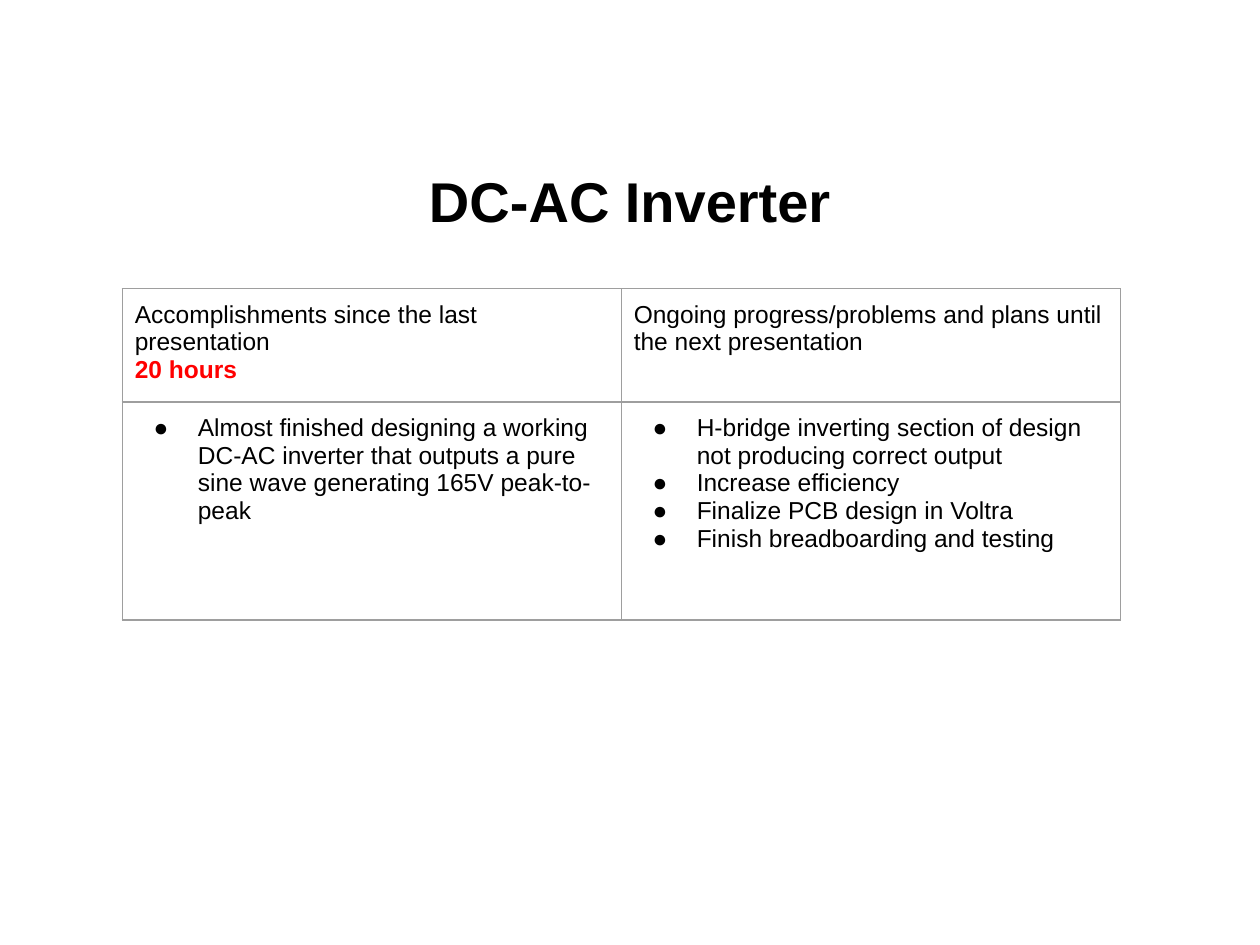
import dataclasses

import pptx
import pptx.dml.color
import pptx.enum.text
import pptx.oxml
import pptx.oxml.ns
import pptx.util
from pptx.util import Inches


@dataclasses.dataclass(frozen=True)
class Theme:
    font: str = "Arial"
    ink: str = "000000"
    accent: str = "FF0000"
    border: str = "9E9E9E"
    title_size: float = 32
    body_size: float = 14
    border_width: float = 0.75


def dml(xml):
    return pptx.oxml.parse_xml(xml.replace(">", f" {pptx.oxml.ns.nsdecls('a')}>", 1))


def write(paragraph, text, *, font, size, color, bold=False, align=None):
    run = paragraph.add_run()
    run.text = text
    run.font.name = font
    run.font.size = pptx.util.Pt(size)
    run.font.bold = bold
    run.font.color.rgb = pptx.dml.color.RGBColor.from_string(color)
    paragraph.alignment = align


class ReportSlide:
    def __init__(self, slide, theme):
        self.slide = slide
        self.theme = theme

    def title(self, text, left, top, width, height):
        frame = self.slide.shapes.add_textbox(left, top, width, height).text_frame
        frame.word_wrap = True
        frame.vertical_anchor = pptx.enum.text.MSO_ANCHOR.MIDDLE
        write(frame.paragraphs[0], text, font=self.theme.font, size=self.theme.title_size,
              color=self.theme.ink, bold=True, align=pptx.enum.text.PP_ALIGN.CENTER)

    def table(self, rows, left, top, column_width, row_heights):
        """Each cell is a list of (text, format) lines."""
        columns = len(rows[0])
        table = self.slide.shapes.add_table(
            len(rows), columns, left, top, column_width * columns, sum(row_heights)).table
        table.first_row = table.horz_banding = False
        for column in table.columns:
            column.width = column_width
        for row, height, contents in zip(table.rows, row_heights, rows):
            row.height = height
            for cell, lines in zip(row.cells, contents):
                self.cell(cell, lines)

    def cell(self, cell, lines):
        cell.margin_left = cell.margin_right = Inches(0.1)
        cell.margin_top = cell.margin_bottom = Inches(0.1)
        self.borders(cell)
        cell.fill.background()
        frame = cell.text_frame
        for index, (text, style) in enumerate(lines):
            paragraph = frame.add_paragraph() if index else frame.paragraphs[0]
            style = dict(style)
            if style.pop("bullet", False):
                self.bullet(paragraph)
            write(paragraph, text, **{"font": self.theme.font, "size": self.theme.body_size,
                                      "color": self.theme.ink, **style})

    def borders(self, cell):
        properties = cell._tc.get_or_add_tcPr()
        width = pptx.util.Pt(self.theme.border_width)
        for side in ("lnL", "lnR", "lnT", "lnB"):
            properties.append(dml(
                f'<a:{side} w="{width}"><a:solidFill><a:srgbClr val="{self.theme.border}"/>'
                f'</a:solidFill><a:prstDash val="solid"/></a:{side}>'))

    def bullet(self, paragraph):
        properties = paragraph._p.get_or_add_pPr()
        properties.set("marL", str(Inches(0.5)))
        properties.set("indent", str(Inches(-0.35)))
        properties.append(dml(f'<a:buClr><a:srgbClr val="{self.theme.ink}"/></a:buClr>'))
        properties.append(dml(f'<a:buFont typeface="{self.theme.font}"></a:buFont>'))
        properties.append(dml('<a:buChar char="●"></a:buChar>'))


def main():
    presentation = pptx.Presentation()
    presentation.slide_width, presentation.slide_height = Inches(10), Inches(7.5)
    theme = Theme()
    report = ReportSlide(presentation.slides.add_slide(presentation.slide_layouts[6]), theme)

    report.title("DC-AC Inverter", Inches(0.5), Inches(1.15), Inches(9), Inches(0.88))

    headings = [
        [("Accomplishments since the last presentation", {}),
         ("20 hours", {"color": theme.accent, "bold": True})],
        [("Ongoing progress/problems and plans until the next presentation", {})],
    ]
    accomplishments = [
        "Almost finished designing a working DC-AC inverter that outputs a pure sine wave "
        "generating 165V peak-to-peak",
    ]
    plans = [
        "H-bridge inverting section of design not producing correct output",
        "Increase efficiency",
        "Finalize PCB design in Voltra",
        "Finish breadboarding and testing",
    ]
    details = [[(item, {"bullet": True}) for item in items] for items in (accomplishments, plans)]
    report.table([headings, details], Inches(0.97), Inches(2.29),
                 Inches(3.96), [Inches(0.75), Inches(1.73)])

    presentation.save("out.pptx")


if __name__ == "__main__":
    main()
